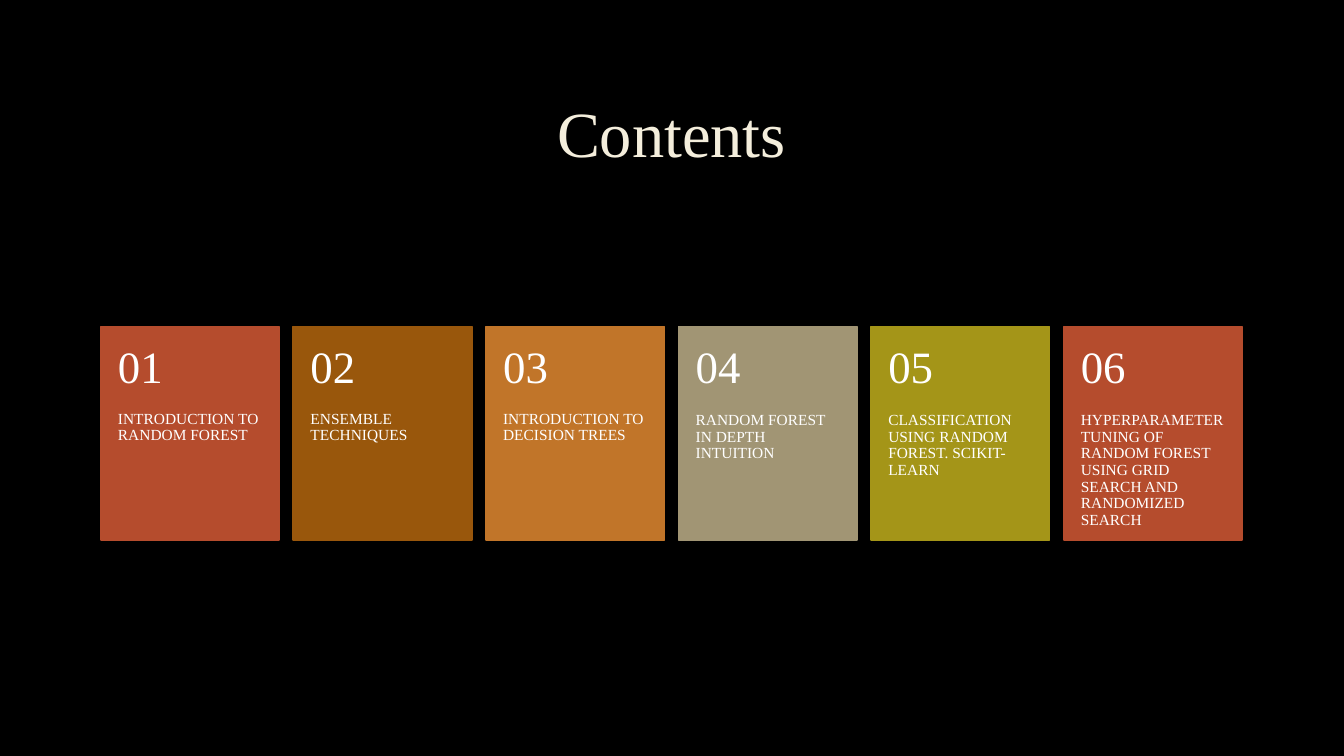
from dataclasses import dataclass

from pptx import Presentation
from pptx.dml.color import RGBColor
from pptx.enum.shapes import MSO_SHAPE as Shape
from pptx.enum.text import MSO_ANCHOR as Anchor, PP_ALIGN as Align
from pptx.slide import Slide
from pptx.util import Inches, Pt

BLACK = RGBColor(0x00, 0x00, 0x00)
CREAM = RGBColor(0xF4, 0xEE, 0xDC)
WHITE = RGBColor(0xFF, 0xFF, 0xFF)
BRICK = RGBColor(0xB5, 0x4C, 0x2D)
BROWN = RGBColor(0x99, 0x57, 0x0C)
ORANGE = RGBColor(0xC1, 0x75, 0x29)
TAUPE = RGBColor(0xA1, 0x95, 0x74)
OLIVE = RGBColor(0xA4, 0x95, 0x18)

FONT = "Times New Roman"
SLIDE_WIDTH, SLIDE_HEIGHT = 13.33, 7.5

# Card grid, in inches
GRID_LEFT, GRID_TOP = 1.0, 3.24
COLUMN_WIDTH, COLUMN_GAP = 1.77, 0.14
NUMBER_ROW, TOPIC_ROW = 0.85, 1.27
CARD_INSET = 0.17


@dataclass(frozen=True)
class Box:
    left: float
    top: float
    width: float
    height: float

    def emu(self) -> tuple[int, int, int, int]:
        return (Inches(self.left), Inches(self.top),
                Inches(self.width), Inches(self.height))


@dataclass(frozen=True)
class TextStyle:
    size: float
    color: RGBColor
    anchor: Anchor
    align: Align = Align.LEFT
    insets: tuple[float, float, float, float] = (0.1, 0.05, 0.1, 0.05)


@dataclass(frozen=True)
class Card:
    topic: str
    color: RGBColor


TITLE_STYLE = TextStyle(46, CREAM, Anchor.MIDDLE, Align.CENTER)
NUMBER_STYLE = TextStyle(32, WHITE, Anchor.MIDDLE,
                         insets=(CARD_INSET, 0.18, CARD_INSET, 0.18))
TOPIC_STYLE = TextStyle(11, WHITE, Anchor.TOP,
                        insets=(CARD_INSET, 0, CARD_INSET, 0.36))

CARDS = (
    Card("INTRODUCTION TO RANDOM FOREST", BRICK),
    Card("ENSEMBLE TECHNIQUES", BROWN),
    Card("INTRODUCTION TO DECISION TREES", ORANGE),
    Card("RANDOM FOREST IN DEPTH INTUITION", TAUPE),
    Card("CLASSIFICATION USING RANDOM FOREST. SCIKIT-LEARN", OLIVE),
    Card("HYPERPARAMETER TUNING OF RANDOM FOREST USING GRID SEARCH "
         "AND RANDOMIZED SEARCH", BRICK),
)


def add_text(slide: Slide, box: Box, text: str, style: TextStyle) -> None:
    frame = slide.shapes.add_textbox(*box.emu()).text_frame
    frame.word_wrap = True
    frame.vertical_anchor = style.anchor
    (frame.margin_left, frame.margin_top,
     frame.margin_right, frame.margin_bottom) = map(Inches, style.insets)
    frame.text = text
    paragraph = frame.paragraphs[0]
    paragraph.alignment = style.align
    paragraph.line_spacing = 0.9
    font = paragraph.runs[0].font
    font.name = FONT
    font.size = Pt(style.size)
    font.color.rgb = style.color


def add_card(slide: Slide, column: int, card: Card) -> None:
    left = GRID_LEFT + column * (COLUMN_WIDTH + COLUMN_GAP)
    tile_box = Box(left, GRID_TOP, COLUMN_WIDTH, NUMBER_ROW + TOPIC_ROW)
    tile = slide.shapes.add_shape(Shape.RECTANGLE, *tile_box.emu())
    tile.shadow.inherit = False
    tile.fill.solid()
    tile.fill.fore_color.rgb = card.color
    tile.line.color.rgb = card.color
    tile.line.width = Pt(1.25)

    topic_box = Box(left, GRID_TOP + NUMBER_ROW, COLUMN_WIDTH, TOPIC_ROW)
    add_text(slide, topic_box, card.topic, TOPIC_STYLE)
    number_box = Box(left, GRID_TOP, COLUMN_WIDTH, NUMBER_ROW)
    add_text(slide, number_box, f"{column + 1:02d}", NUMBER_STYLE)


def main() -> None:
    deck = Presentation()
    deck.slide_width = Inches(SLIDE_WIDTH)
    deck.slide_height = Inches(SLIDE_HEIGHT)
    slide = deck.slides.add_slide(deck.slide_layouts[6])
    slide.background.fill.solid()
    slide.background.fill.fore_color.rgb = BLACK

    add_text(slide, Box(GRID_LEFT, 0.67, 11.32, 1.38), "Contents", TITLE_STYLE)
    for column, card in enumerate(CARDS):
        add_card(slide, column, card)
    deck.save("out.pptx")


if __name__ == "__main__":
    main()
